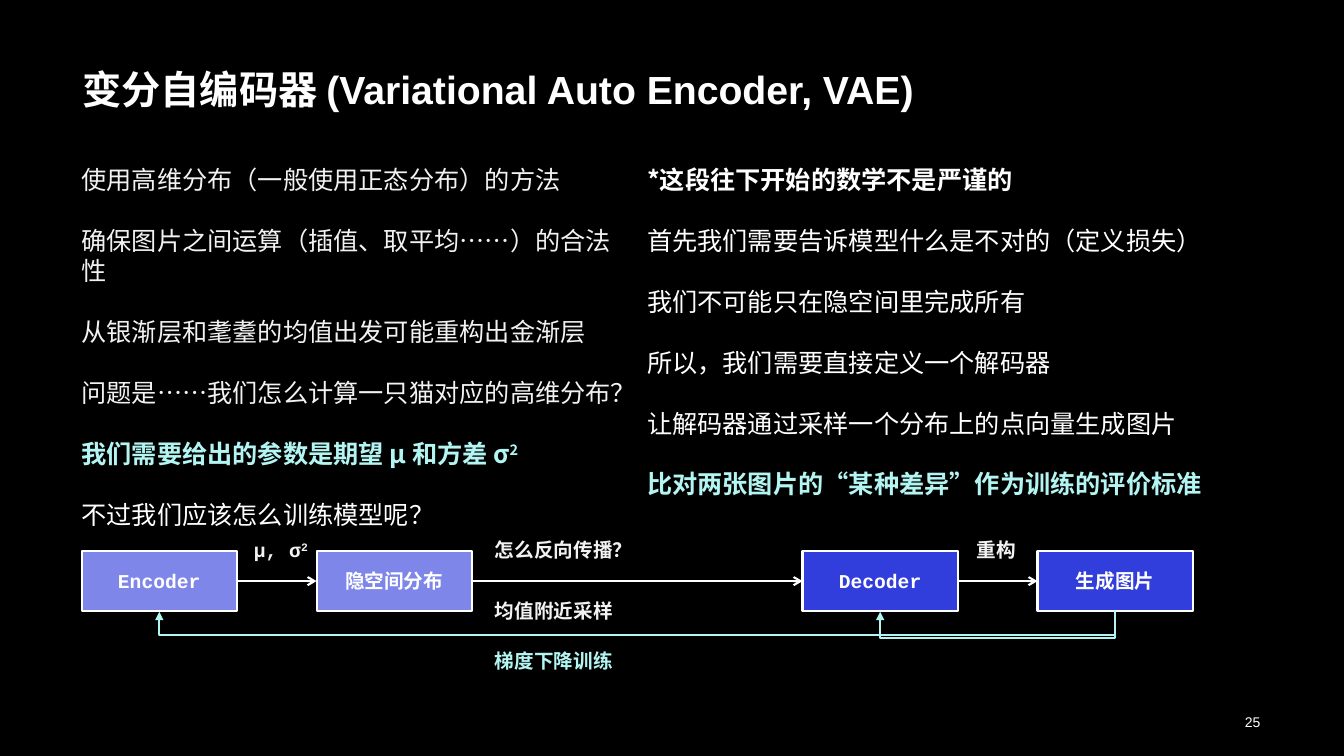
import pptx
import pptx.dml.color
import pptx.enum.shapes
import pptx.enum.text
import pptx.oxml
import pptx.oxml.ns
import pptx.util
from pptx.util import Inches

RGBColor = pptx.dml.color.RGBColor
BLACK = RGBColor(0x00, 0x00, 0x00)
WHITE = RGBColor(0xFF, 0xFF, 0xFF)
PALE = RGBColor(0xF2, 0xF2, 0xF2)
CYAN = RGBColor(0xB3, 0xF5, 0xF2)
LILAC = RGBColor(0x7E, 0x86, 0xE9)
BLUE = RGBColor(0x31, 0x3E, 0xDC)

CJK = "Noto Sans CJK SC"
MONO = "Courier New"
ALIGN = pptx.enum.text.PP_ALIGN
ANCHOR = pptx.enum.text.MSO_ANCHOR
CONNECTOR = pptx.enum.shapes.MSO_CONNECTOR

LEFT_POINTS = [
    ("使用高维分布（一般使用正态分布）的方法", PALE, False),
    ("确保图片之间运算（插值、取平均……）的合法性", PALE, False),
    ("从银渐层和耄耋的均值出发可能重构出金渐层", PALE, False),
    ("问题是……我们怎么计算一只猫对应的高维分布？", PALE, False),
    ("我们需要给出的参数是期望 μ 和方差 σ^2", CYAN, True),
    ("不过我们应该怎么训练模型呢？", WHITE, False),
]
RIGHT_POINTS = [
    ("*这段往下开始的数学不是严谨的", WHITE, True),
    ("首先我们需要告诉模型什么是不对的（定义损失）", WHITE, False),
    ("我们不可能只在隐空间里完成所有", WHITE, False),
    ("所以，我们需要直接定义一个解码器", WHITE, False),
    ("让解码器通过采样一个分布上的点向量生成图片", WHITE, False),
    ("比对两张图片的“某种差异”作为训练的评价标准", CYAN, True),
]


def write(para, text, size=14, font=MONO, color=WHITE, bold=True,
          align=ALIGN.LEFT, pitch=None):
    """Fill a paragraph; whatever follows a ^ is superscript."""
    para.alignment = align
    if pitch:
        para.line_spacing = pptx.util.Pt(pitch)
    for index, part in enumerate(text.split("^")):
        span = para.add_run()
        span.text = part
        span.font.size = pptx.util.Pt(size)
        span.font.bold = bold
        span.font.color.rgb = color
        span.font.name = font
        properties = span._r.get_or_add_rPr()
        if index:
            properties.set("baseline", "30000")
        east_asian = pptx.oxml.parse_xml(
            f'<a:ea {pptx.oxml.ns.nsdecls("a")} typeface="{CJK}"/>')
        properties.find(pptx.oxml.ns.qn("a:latin")).addnext(east_asian)


def add_text_box(page, left, top, width, height, anchor=ANCHOR.TOP):
    box = page.shapes.add_textbox(Inches(left), Inches(top), Inches(width), Inches(height))
    box.text_frame.word_wrap = True
    box.text_frame.vertical_anchor = anchor
    return box.text_frame


def add_title(page, left, top, width, height):
    frame = add_text_box(page, left, top, width, height, ANCHOR.BOTTOM)
    frame.margin_bottom = Inches(0.01)
    write(frame.paragraphs[0], "变分自编码器 (Variational Auto Encoder, VAE)",
          size=28, font="Arial")


def add_page_number(page, left, top, width, height):
    frame = add_text_box(page, left, top, width, height, ANCHOR.MIDDLE)
    write(frame.paragraphs[0], "25", size=10, font="Arial", bold=False, align=ALIGN.RIGHT)


def add_column(page, points, left, top, width, height):
    """Place paragraphs with one line of space between them."""
    pitch = 21.75
    frame = add_text_box(page, left, top, width, height)
    for index, (text, color, bold) in enumerate(points):
        para = frame.add_paragraph() if index else frame.paragraphs[0]
        write(para, text, size=18, font=CJK, color=color, bold=bold, pitch=pitch)
        if index:
            para.space_before = pptx.util.Pt(pitch)


def add_node(page, text, fill, left, top, width, height):
    node = page.shapes.add_shape(pptx.enum.shapes.MSO_SHAPE.RECTANGLE, Inches(left),
                                 Inches(top), Inches(width), Inches(height))
    node.shadow.inherit = False
    node.fill.solid()
    node.fill.fore_color.rgb = fill
    node.line.color.rgb = WHITE
    node.line.width = pptx.util.Pt(1.5)
    node.text_frame.vertical_anchor = ANCHOR.MIDDLE
    write(node.text_frame.paragraphs[0], text, align=ALIGN.CENTER)
    return node


def style_arrow(arrow, color, head):
    arrow.line.color.rgb = color
    arrow.line.width = pptx.util.Pt(1.5)
    namespace = pptx.oxml.ns.nsdecls("a")
    arrow.line._get_or_add_ln().append(
        pptx.oxml.parse_xml(f'<a:tailEnd {namespace} type="{head}"/>'))
    arrow._element.spPr.append(pptx.oxml.parse_xml(f"<a:effectLst {namespace}/>"))


def add_forward_arrow(page, source, target):
    arrow = page.shapes.add_connector(CONNECTOR.STRAIGHT, 0, 0, 0, 0)
    arrow.begin_connect(source, 3)
    arrow.end_connect(target, 1)
    style_arrow(arrow, WHITE, "arrow")


def add_feedback_arrow(page, start, end, bottom, depth):
    """Run leftwards from start to end, dipping by depth below the nodes."""
    thin, span = 0.01, start - end
    left, top = (start + end - thin) / 2, bottom + (thin - span) / 2
    arrow = page.shapes.add_connector(CONNECTOR.ELBOW, Inches(left), Inches(top),
                                      Inches(left + thin), Inches(top + span))
    properties = arrow._element.spPr
    properties.find(pptx.oxml.ns.qn("a:xfrm")).set("rot", "5400000")
    guides = properties.find(pptx.oxml.ns.qn("a:prstGeom")).get_or_add_avLst()
    guides.append(pptx.oxml.parse_xml(
        f'<a:gd {pptx.oxml.ns.nsdecls("a")} name="adj1" '
        f'fmla="val {round(depth / thin * 100000)}"/>'))
    style_arrow(arrow, CYAN, "triangle")


def add_flow(page, left, top):
    """Draw the encoder-decoder chain with its labels and training loops."""
    width, height = 1.54, 0.59
    steps = [("Encoder", LILAC, 0), ("隐空间分布", LILAC, 2.33),
             ("Decoder", BLUE, 7.15), ("生成图片", BLUE, 9.48)]
    nodes = [add_node(page, text, fill, left + offset, top, width, height)
             for text, fill, offset in steps]
    for source, target in zip(nodes, nodes[1:]):
        add_forward_arrow(page, source, target)

    encoder, _, decoder, output = [left + offset + width / 2 for _, _, offset in steps]
    add_feedback_arrow(page, output, decoder, top + height, 0.27)
    add_feedback_arrow(page, output, encoder, top + height, 0.24)

    for text, color, x, y, label_width in [
        ("μ, σ^2", PALE, 1.61, -0.19, width),
        ("怎么反向传播？", PALE, 4, -0.19, width),
        ("均值附近采样", PALE, 4, 0.42, width),
        ("梯度下降训练", CYAN, 4, 0.92, width),
        ("重构", PALE, 8.78, -0.19, 0.61),
    ]:
        frame = add_text_box(page, left + x, top + y, label_width, 0.34)
        write(frame.paragraphs[0], text, color=color, pitch=17)


def main():
    deck = pptx.Presentation()
    deck.slide_width, deck.slide_height = Inches(13.33), Inches(7.5)
    page = deck.slides.add_slide(deck.slide_layouts[6])
    page.background.fill.solid()
    page.background.fill.fore_color.rgb = BLACK
    add_title(page, 0.72, 0.14, 11.88, 0.98)
    add_column(page, LEFT_POINTS, 0.71, 1.58, 5.62, 3.43)
    add_column(page, RIGHT_POINTS, 6.32, 1.58, 5.95, 3.43)
    add_flow(page, 0.81, 5.47)
    add_page_number(page, 8.6, 7.01, 4, 0.3)
    deck.save("out.pptx")


if __name__ == "__main__":
    main()
